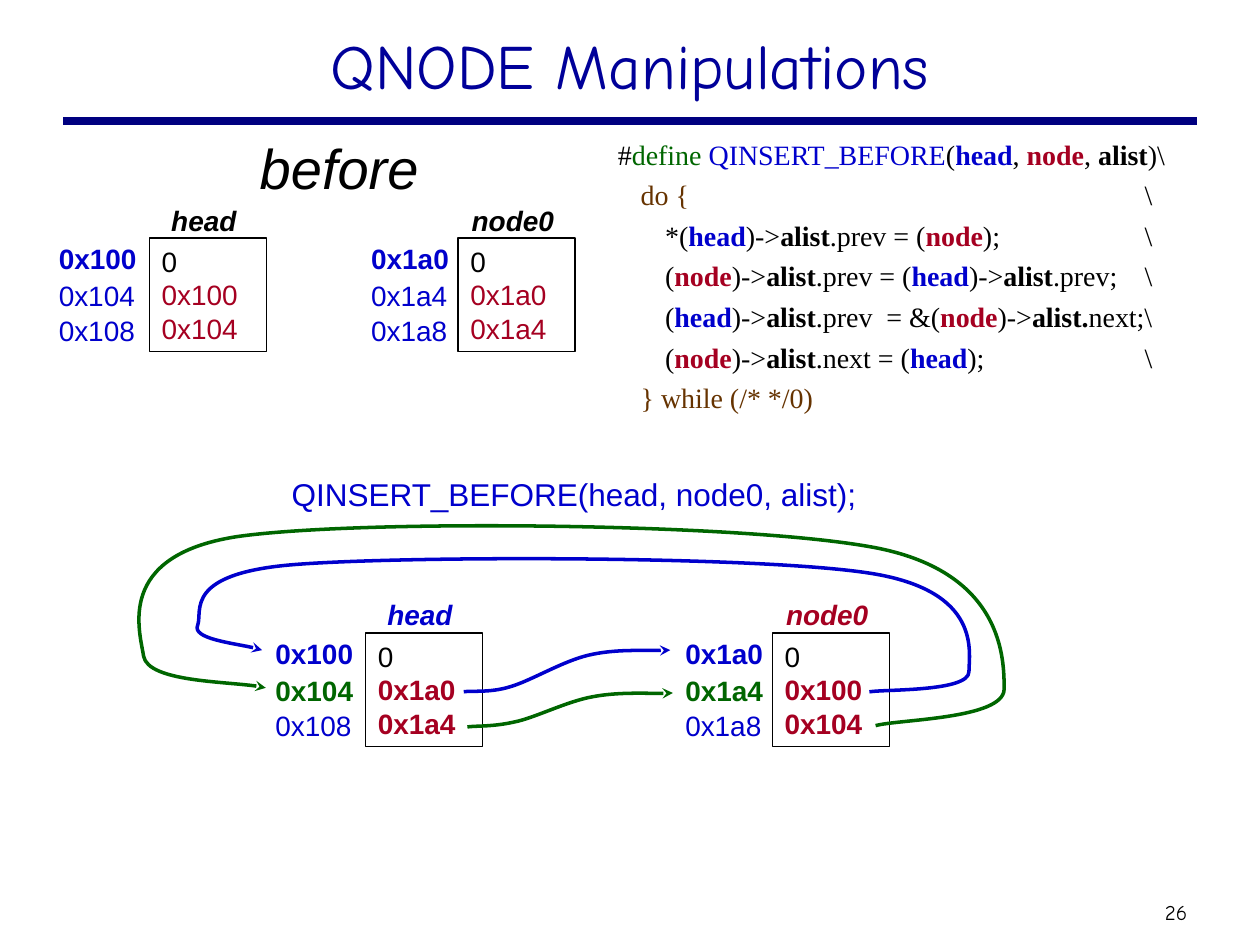
from lxml import etree
from pptx import Presentation
from pptx.dml.color import RGBColor
from pptx.enum.shapes import MSO_CONNECTOR, MSO_SHAPE
from pptx.enum.text import MSO_ANCHOR, MSO_AUTO_SIZE, PP_ALIGN
from pptx.oxml.ns import qn
from pptx.util import Pt

LEFT, CENTER = PP_ALIGN.LEFT, PP_ALIGN.CENTER
TOP, MIDDLE = MSO_ANCHOR.TOP, MSO_ANCHOR.MIDDLE
RECTANGLE, STRAIGHT = MSO_SHAPE.RECTANGLE, MSO_CONNECTOR.STRAIGHT
FIT_SHAPE = MSO_AUTO_SIZE.SHAPE_TO_FIT_TEXT


class Theme:
    black = RGBColor.from_string("000000")
    white = RGBColor.from_string("FFFFFF")
    navy = RGBColor.from_string("000080")
    title = RGBColor.from_string("000099")
    blue = RGBColor.from_string("0000CC")
    red = RGBColor.from_string("A50021")
    green = RGBColor.from_string("006600")
    brown = RGBColor.from_string("663300")
    heading_font, body_font, code_font = "Comic Neue", "Arial", "Times New Roman"
    title_size, state_size, call_size, body_size, number_size = 36, 32, 18, 16, 12


def style(run, color, size=Theme.body_size, font=Theme.body_font, bold=False, italic=False):
    run.font.name, run.font.size = font, Pt(size)
    run.font.bold, run.font.italic = bold, italic
    run.font.color.rgb = color


def add_label(shapes, text, left, top, width, height, color, align=LEFT, **look):
    """Add one line of unwrapped text; look is passed on to style()."""
    box = shapes.add_textbox(Pt(left), Pt(top), Pt(width), Pt(height))
    frame = box.text_frame
    frame.word_wrap = False
    frame.auto_size = FIT_SHAPE
    frame.text = text
    frame.paragraphs[0].alignment = align
    style(frame.paragraphs[0].runs[0], color, **look)
    return frame


prs = Presentation()
prs.slide_width, prs.slide_height = Pt(720), Pt(540)
slide = prs.slides.add_slide(prs.slide_layouts[5])
shapes = slide.shapes

# Title, rule and page number
title = shapes.title
title.left, title.top, title.width, title.height = Pt(54), Pt(6), Pt(612), Pt(62)
title.text_frame.text = "QNODE Manipulations"
title.text_frame.vertical_anchor = MIDDLE
title.text_frame.paragraphs[0].alignment = CENTER
style(title.text_frame.paragraphs[0].runs[0], Theme.title, Theme.title_size, Theme.heading_font)

rule = shapes.add_connector(STRAIGHT, Pt(36), Pt(69.1), Pt(684), Pt(69.1))
rule.line.color.rgb = Theme.navy
rule.line.width = Pt(4.5)
etree.SubElement(rule.line._get_or_add_ln().getparent(), qn("a:effectLst"))

page_number = add_label(shapes, "26", 655.2, 510.5, 33.8, 21.6, Theme.black, CENTER,
                        size=Theme.number_size, font=Theme.heading_font)
page_number.margin_left = page_number.margin_right = Pt(3.6)
page_number.vertical_anchor = MIDDLE

# Macro listing: "|" separates the runs, and a run's words decide its look
token_looks = {
    "define ": (Theme.green, False),
    "QINSERT_BEFORE": (Theme.blue, False),
    "head": (Theme.blue, True),
    "node": (Theme.red, True),
    "alist": (Theme.black, True),
    "alist.": (Theme.black, True),
    "do {\t\t": (Theme.brown, False),
    "} while (/* */0)": (Theme.brown, False),
}
macro_lines = [
    "#|define |QINSERT_BEFORE|(|head|, |node|, |alist|)\\",
    "\t|do {\t\t|\\",
    "\t\t*(|head|)->|alist|.prev = (|node|); \t\\",
    "\t\t(|node|)->|alist|.prev = (|head|)->|alist|.prev; \t\\",
    "\t\t(|head|)->|alist|.prev  = &(|node|)->|alist.|next;\\",
    "\t\t(|node|)->|alist|.next = (|head|);\t\\",
    "\t|} while (/* */0)",
]
tab_stops = [0, 13, 27, 39, 198, 301, 360, 432]

macro = shapes.add_shape(RECTANGLE, Pt(346), Pt(74.9), Pt(370), Pt(175.7))
macro.shadow.inherit = False
macro.fill.solid()
macro.fill.fore_color.rgb = Theme.white
macro.line.fill.background()
macro.text_frame.word_wrap = True
macro.text_frame.vertical_anchor = TOP
for index, line in enumerate(macro_lines):
    paragraph = macro.text_frame.paragraphs[0] if index == 0 else macro.text_frame.add_paragraph()
    paragraph.alignment = LEFT
    paragraph.space_before = Pt(4)
    tab_list = etree.SubElement(paragraph._p.get_or_add_pPr(), qn("a:tabLst"))
    for stop in tab_stops:
        etree.SubElement(tab_list, qn("a:tab"), pos=str(Pt(stop)), algn="l")
    for token in line.split("|"):
        run = paragraph.add_run()
        run.text = token
        color, bold = token_looks.get(token, (Theme.black, False))
        style(run, color, font=Theme.code_font, bold=bold)

# Nodes: name, name width and colour, address left, box left and top,
# addresses, stored values, whether the pointers have been set
BOX_WIDTH, BOX_HEIGHT, LABEL_HEIGHT, ADDRESS_WIDTH = 67, 64.8, 26.6, 59
head_addresses = ["0x100", "0x104", "0x108"]
node_addresses = ["0x1a0", "0x1a4", "0x1a8"]
to_head, to_node = ["0", "0x100", "0x104"], ["0", "0x1a0", "0x1a4"]
nodes = [
    ("head", 56, Theme.black, 26.5, 85.3, 136, head_addresses, to_head, False),
    ("node0", 65.5, Theme.black, 205, 261.7, 136, node_addresses, to_node, False),
    ("head", 56, Theme.blue, 150.3, 208.8, 361.7, head_addresses, to_node, True),
    ("node0", 65.5, Theme.red, 384.5, 441.3, 361.7, node_addresses, to_head, True),
]
for name, name_width, name_color, address_left, left, top, addresses, values, linked in nodes:
    node = shapes.add_group_shape().shapes
    address_looks = [(-1.5, Theme.blue, True),
                     (19.7, Theme.green if linked else Theme.blue, linked),
                     (39.6, Theme.blue, False)]
    for address, (offset, color, bold) in zip(addresses, address_looks):
        add_label(node, address, address_left, top + offset, ADDRESS_WIDTH, LABEL_HEIGHT,
                  color, bold=bold)
    add_label(node, name, left + (BOX_WIDTH - name_width) / 2, top - 23.5, name_width,
              LABEL_HEIGHT, name_color, bold=True, italic=True)

    fields = node.add_shape(RECTANGLE, Pt(left), Pt(top), Pt(BOX_WIDTH), Pt(BOX_HEIGHT))
    fields.shadow.inherit = False
    fields.fill.background()
    fields.line.color.rgb = Theme.black
    fields.line.width = Pt(0.75)
    fields.text_frame.vertical_anchor = TOP
    fields.text_frame.text = "\n".join(values)
    for index, paragraph in enumerate(fields.text_frame.paragraphs):
        paragraph.alignment = LEFT
        is_pointer = index > 0
        style(paragraph.runs[0], Theme.red if is_pointer else Theme.black,
              bold=is_pointer and linked)

add_label(shapes, "QINSERT_BEFORE(head, node0, alist);", 159.6, 267.8, 337.7, 29,
          Theme.blue, size=Theme.call_size)

# Pointers: a start point, then three Bézier points for each stretch of curve
pointers = [
    (Theme.blue, [(265, 395.3), (269.3, 394.6), (280.1, 396), (291.6, 392.4),
                  (303.8, 388.8), (321.1, 378), (336.2, 374.4),
                  (351.4, 370.8), (373, 372.2), (383, 371.5)]),
    (Theme.blue, [(496.8, 395.3), (506.2, 393.8), (553.7, 395.3), (553.7, 383.8),
                  (553.7, 373), (561.6, 337.7), (497.5, 327.6),
                  (433.4, 317.5), (232.6, 317.5), (168.5, 322.6),
                  (104.4, 327.6), (115.9, 349.2), (113, 357.1),
                  (109.4, 365), (141.8, 368.6), (149.8, 371.5)]),
    (Theme.green, [(267.1, 415.4), (271.4, 414.7), (281.5, 415.4), (293.8, 412.6),
                   (305.3, 410.4), (323.3, 401), (338.4, 398.2),
                   (353.5, 395.3), (375.1, 396.7), (384.5, 396)]),
    (Theme.green, [(500.4, 414.7), (512.6, 411.1), (573.8, 411.1), (573.8, 393.8),
                   (573.8, 377.3), (573.8, 327.6), (501.1, 313.2),
                   (427.7, 298.8), (205.2, 296.6), (135.4, 306.7),
                   (65.5, 317.5), (79.9, 360.7), (82.1, 375.1),
                   (85, 389.5), (137.5, 389.5), (151.9, 393.1)]),
]
for color, points in pointers:
    start, *rest = [(Pt(x), Pt(y)) for x, y in points]
    builder = shapes.build_freeform(*start)
    builder.add_line_segments(rest, close=False)
    pointer = builder.convert_to_shape()
    pointer.shadow.inherit = False
    pointer.fill.background()
    pointer.line.color.rgb = color
    pointer.line.width = Pt(2)
    etree.SubElement(pointer.line._get_or_add_ln(), qn("a:tailEnd"), type="stealth")
    # Turn every three straight segments into one cubic curve
    segments = list(pointer._element.iter(qn("a:lnTo")))
    outline = segments[0].getparent()
    for first in range(0, len(segments), 3):
        curve = etree.SubElement(outline, qn("a:cubicBezTo"))
        for segment in segments[first:first + 3]:
            curve.append(segment[0])
            outline.remove(segment)

add_label(shapes, "before", 141.3, 72.7, 105.1, 46, Theme.black, CENTER,
          size=Theme.state_size, italic=True)

prs.save("out.pptx")
